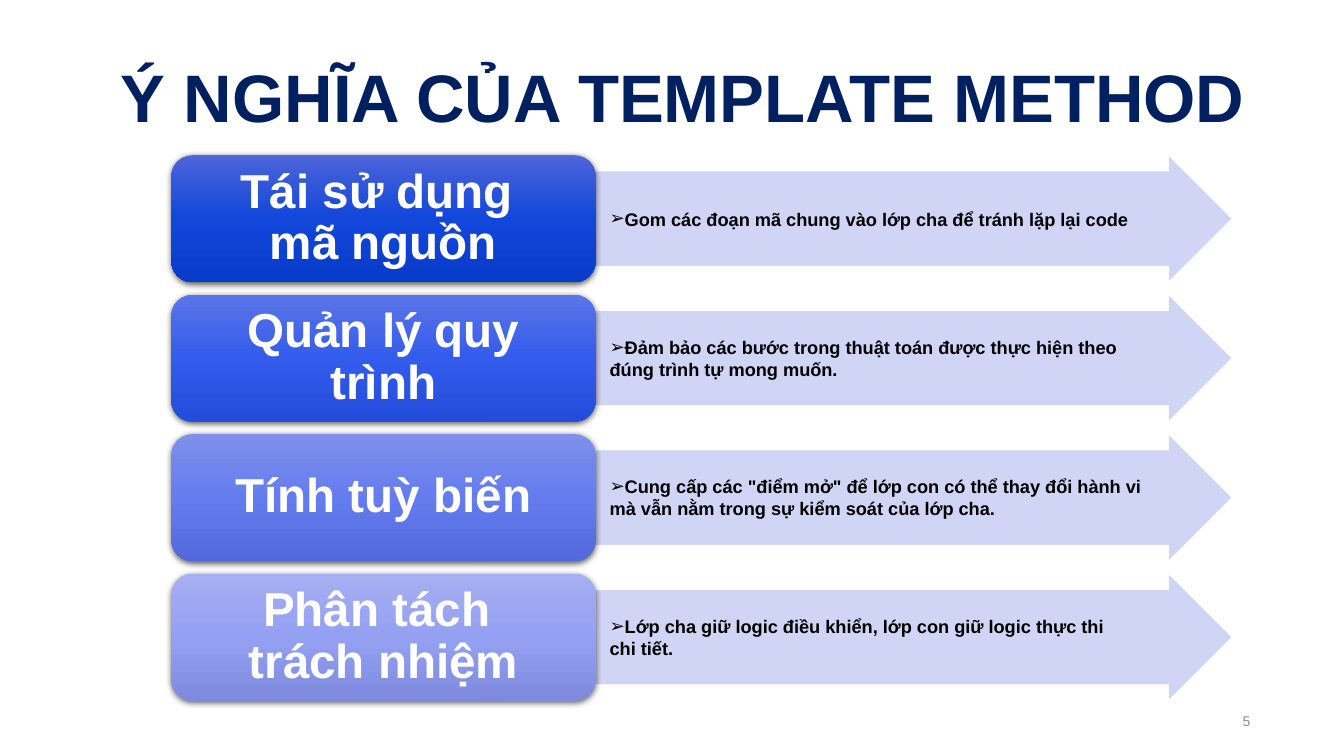
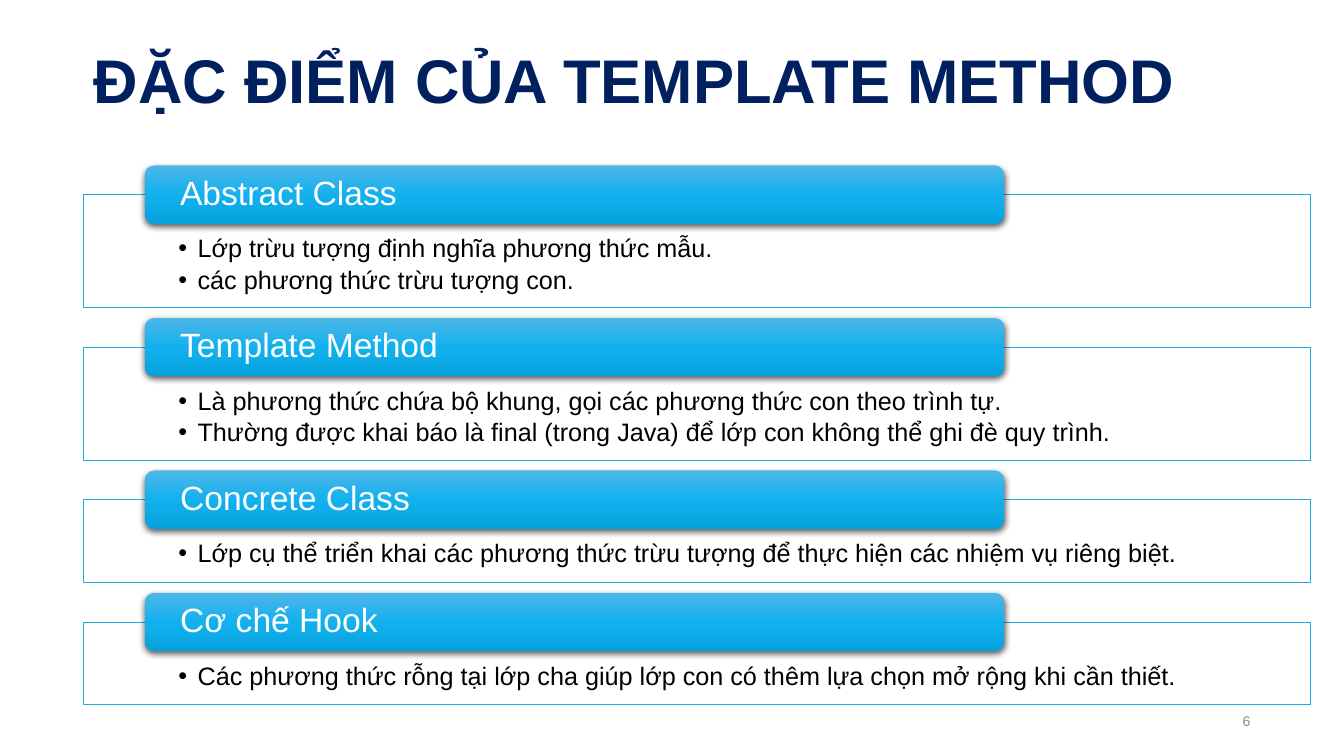
import dataclasses

import lxml.etree
import pptx
import pptx.dml.color
import pptx.enum.shapes
import pptx.enum.text
import pptx.oxml.ns
import pptx.util

Inches = pptx.util.Inches
Pt = pptx.util.Pt
RGB = pptx.dml.color.RGBColor.from_string
qn = pptx.oxml.ns.qn
SHAPE = pptx.enum.shapes.MSO_SHAPE
ALIGN = pptx.enum.text.PP_ALIGN
ANCHOR = pptx.enum.text.MSO_ANCHOR


@dataclasses.dataclass(frozen=True)
class Theme:
    font: str = "Arial"
    title: str = "002060"
    text: str = "000000"
    white: str = "FFFFFF"
    number: str = "8C8C8C"
    arrow: str = "CDD1F5"
    frame: str = "1CADE4"
    tab: tuple = ("4FB6E9", "12B1EE", "06A2DD")
    labels: tuple = (
        ("4D64DA", "1147DA", "073BCA"),
        ("5C75E8", "335CEC", "244CDB"),
        ("7E90EC", "647CEE", "5169DB"),
        ("A6AFF1", "94A0F2", "7E8ADD"),
    )
    label_size: int = 34
    tab_size: int = 24
    body_size: int = 18
    note_size: int = 13
    number_size: int = 10


THEME = Theme()

MEANINGS = [
    ("Tái sử dụng \vmã nguồn",
     "Gom các đoạn mã chung vào lớp cha để tránh lặp lại code"),
    ("Quản lý quy trình",
     "Đảm bảo các bước trong thuật toán được thực hiện theo đúng trình tự mong muốn."),
    ("Tính tuỳ biến",
     'Cung cấp các "điểm mở" để lớp con có thể thay đổi hành vi '
     "mà vẫn nằm trong sự kiểm soát của lớp cha."),
    ("Phân tách \vtrách nhiệm",
     "Lớp cha giữ logic điều khiển, lớp con giữ logic thực thi \vchi tiết."),
]

FEATURES = [
    ("Abstract Class",
     ["Lớp trừu tượng định nghĩa phương thức mẫu.",
      "các phương thức trừu tượng con."]),
    ("Template Method",
     ["Là phương thức chứa bộ khung, gọi các phương thức con theo trình tự.",
      "Thường được khai báo là final (trong Java) để lớp con không thể ghi đè quy trình."]),
    ("Concrete Class",
     ["Lớp cụ thể triển khai các phương thức trừu tượng để thực hiện các nhiệm vụ riêng biệt."]),
    ("Cơ chế Hook",
     ["Các phương thức rỗng tại lớp cha giúp lớp con có thêm lựa chọn mở rộng khi cần thiết."]),
]


def sub(parent, tag, **attrs):
    """Append a DrawingML element."""
    return lxml.etree.SubElement(parent, qn(tag), {k: str(v) for k, v in attrs.items()})


def write(s, lines, size, color=THEME.text, bold=False, align=ALIGN.LEFT,
          anchor=ANCHOR.MIDDLE, insets=(0.1, 0.05, 0.1, 0.05), spacing=1.0,
          after=0, bullet=None, indent=0):
    """Fill a shape with one paragraph per line, all in one format."""
    tf = s.text_frame
    tf.word_wrap = True
    tf.vertical_anchor = anchor
    tf.margin_left, tf.margin_top, tf.margin_right, tf.margin_bottom = map(Inches, insets)
    for i, line in enumerate(lines):
        p = tf.paragraphs[0] if i == 0 else tf.add_paragraph()
        p.text = line
        p.alignment = align
        p.line_spacing = spacing
        p.space_after = Pt(after)
        if bullet:
            pPr = p._p.get_or_add_pPr()
            pPr.set("marL", str(Inches(indent)))
            pPr.set("indent", str(-Inches(indent)))
            sub(pPr, "a:buFont", typeface=THEME.font)
            sub(pPr, "a:buChar", char=bullet)
        for r in p.runs:
            r.font.name = THEME.font
            r.font.size = Pt(size)
            r.font.bold = bold
            r.font.color.rgb = RGB(color)


def add_text(slide, box, lines, size, **fmt):
    s = slide.shapes.add_textbox(*map(Inches, box))
    write(s, lines, size, **fmt)


def add_shape(slide, kind, box, fill, line):
    s = slide.shapes.add_shape(kind, *map(Inches, box))
    s.shadow.inherit = False
    s.fill.solid()
    s.fill.fore_color.rgb = RGB(fill)
    s.line.color.rgb = RGB(line)
    s.line.width = Pt(0.5)
    return s


def add_glossy_box(slide, box, colors):
    """Rounded box with a top-to-bottom gradient and a soft shadow."""
    s = slide.shapes.add_shape(SHAPE.ROUNDED_RECTANGLE, *map(Inches, box))
    s.line.fill.background()
    s.shadow.inherit = False
    s.fill.gradient()
    s.fill.gradient_angle = 270
    spPr = s._element.spPr
    stops = spPr.find(qn("a:gradFill")).find(qn("a:gsLst"))
    for stop in list(stops):
        stops.remove(stop)
    for i, color in enumerate(colors):
        sub(sub(stops, "a:gs", pos=i * 50000), "a:srgbClr", val=color)
    shadow = sub(spPr.find(qn("a:effectLst")), "a:outerShdw", blurRad=Pt(4.5),
                 dist=Pt(1.5), dir=5400000, algn="ctr", rotWithShape=0)
    sub(sub(shadow, "a:srgbClr", val="000000"), "a:alpha", val=63000)
    return s


def new_slide(prs, number, title, box, size, align):
    slide = prs.slides.add_slide(prs.slide_layouts[6])
    add_text(slide, box, [title], size, color=THEME.title, bold=True, align=align,
             anchor=ANCHOR.TOP, spacing=0.9)
    add_text(slide, (9.42, 6.95, 3.08, 0.4), [str(number)], THEME.number_size,
             color=THEME.number, align=ALIGN.RIGHT)
    return slide


def add_arrow_row(slide, box, label, note, colors):
    """Label on the left, arrow with a note on the right."""
    x, y, w, h = box
    label_w = w * 0.4
    arrow = add_shape(slide, SHAPE.RIGHT_ARROW, (x + label_w, y, w - label_w, h),
                      THEME.arrow, THEME.white)
    arrow.adjustments[0] = 0.75
    arrow.adjustments[1] = 0.5
    color = arrow._element.spPr.find(qn("a:solidFill")).find(qn("a:srgbClr"))
    sub(color, "a:alpha", val=90000)
    s = add_glossy_box(slide, (x, y, label_w, h), colors)
    write(s, [label], THEME.label_size, color=THEME.white, bold=True, spacing=0.9,
          align=ALIGN.CENTER, insets=(0.15, 0.07, 0.15, 0.07))
    add_text(slide, (x + label_w + 0.04, y, 5.68, h), [note], THEME.note_size,
             bold=True, bullet="➢")


def add_meanings(slide, box):
    x, y, w, h = box
    row_h = 1.26
    pitch = (h - row_h) / (len(MEANINGS) - 1)
    for i, ((label, note), colors) in enumerate(zip(MEANINGS, THEME.labels)):
        add_arrow_row(slide, (x, y + i * pitch, w, row_h), label, note, colors)


def add_tabbed_frame(slide, box, heading, points):
    """Outlined list with a heading tab across its top edge."""
    x, y, w, h = box
    frame = add_shape(slide, SHAPE.RECTANGLE, box, THEME.white, THEME.frame)
    write(frame, points, THEME.body_size, anchor=ANCHOR.TOP, spacing=0.9, after=3,
          insets=(0.94, 0.41, 0.94, 0.14), bullet="•", indent=0.19)
    tab = add_glossy_box(slide, (x + w * 0.05, y - 0.29, w * 0.7, 0.58), THEME.tab)
    write(tab, [heading], THEME.tab_size, color=THEME.white, spacing=0.9,
          insets=(0.32, 0, 0.32, 0))


def add_features(slide, box):
    x, y, w, h = box
    heights = [0.52 + 0.3 * len(points) for _, points in FEATURES]
    gap = (h - sum(heights)) / (len(FEATURES) - 1)
    for (heading, points), frame_h in zip(FEATURES, heights):
        add_tabbed_frame(slide, (x, y, w, frame_h), heading, points)
        y += frame_h + gap


def main():
    prs = pptx.Presentation()
    prs.slide_width, prs.slide_height = Inches(13.33), Inches(7.5)
    slide = new_slide(prs, 5, "Ý NGHĨA CỦA TEMPLATE METHOD", (0.69, 0.59, 12.17, 0.92),
                      48, ALIGN.CENTER)
    add_meanings(slide, (1.7, 1.54, 10.52, 5.41))
    slide = new_slide(prs, 6, "ĐẶC ĐIỂM CỦA TEMPLATE METHOD", (0.83, 0.45, 12.17, 0.92),
                      44, ALIGN.LEFT)
    add_features(slide, (0.83, 1.93, 12.17, 5.06))
    prs.save("out.pptx")


if __name__ == "__main__":
    main()
